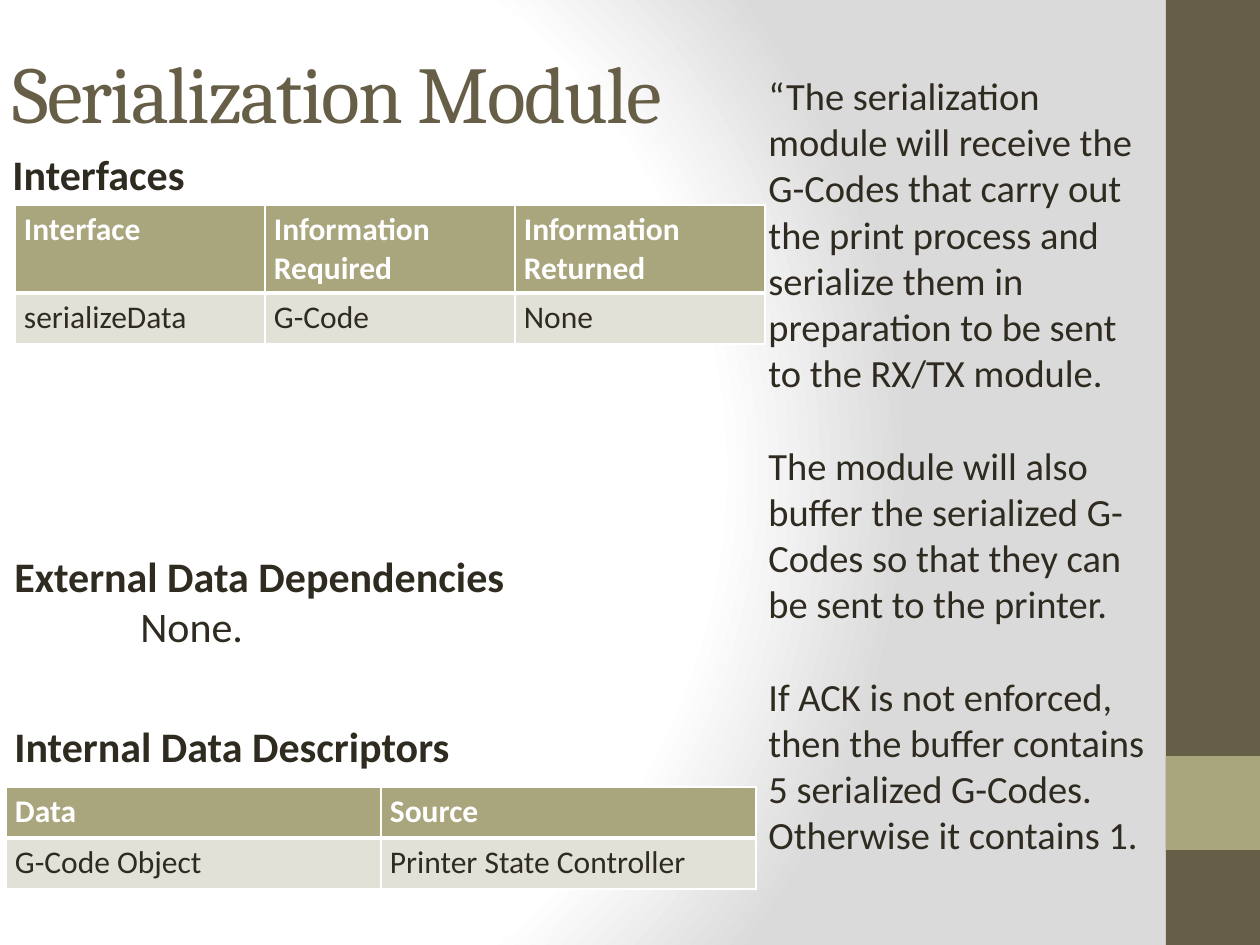
from pptx import Presentation
from pptx.dml.color import RGBColor
from pptx.enum.shapes import MSO_SHAPE
from pptx.enum.text import MSO_ANCHOR, MSO_AUTO_SIZE
from pptx.oxml import parse_xml
from pptx.oxml.ns import nsdecls, qn
from pptx.util import Pt

RECT = MSO_SHAPE.RECTANGLE
TOP, MIDDLE = MSO_ANCHOR.TOP, MSO_ANCHOR.MIDDLE
FIT = MSO_AUTO_SIZE.SHAPE_TO_FIT_TEXT
SCALE = 914400 / 126
COLORS = {
    "brown": "675E47", "olive": "A9A57C", "pale": "E2E1D7",
    "ink": "2F2B20", "white": "FFFFFF", "gray": "DADADA",
}
HEADING, BODY = "Cambria", "Calibri"


def px(n):
    return round(n * SCALE)


def rgb(name):
    return RGBColor.from_string(COLORS[name])


class Deck:
    def __init__(self, w, h):
        self.prs = Presentation()
        self.prs.slide_width, self.prs.slide_height = px(w), px(h)
        self.s = self.prs.slides.add_slide(self.prs.slide_layouts[6])

    def background(self, stops):
        self.s.background.fill.gradient()
        old = self.s.element.find(".//" + qn("a:gradFill"))
        gs = "".join(
            f'<a:gs pos="{pos * 1000}"><a:srgbClr val="{COLORS[c]}"/></a:gs>'
            for pos, c in stops)
        old.getparent().replace(old, parse_xml(
            f'<a:gradFill {nsdecls("a")} rotWithShape="1"><a:gsLst>{gs}</a:gsLst>'
            '<a:path path="circle"><a:fillToRect l="20000" t="50000" '
            'r="100000" b="50000"/></a:path></a:gradFill>'))

    def rect(self, x, y, w, h, color):
        sp = self.s.shapes.add_shape(RECT, px(x), px(y), px(w), px(h))
        sp.shadow.inherit = False
        sp.fill.solid()
        sp.fill.fore_color.rgb = rgb(color)
        sp.line.fill.background()

    def run(self, p, text, size, color="ink", bold=False, font=BODY):
        r = p.add_run()
        r.text = text
        r.font.size, r.font.bold, r.font.name = Pt(size), bold, font
        r.font.color.rgb = rgb(color)
        return r

    def box(self, x, y, w, h, anchor=TOP):
        tf = self.s.shapes.add_textbox(px(x), px(y), px(w), px(h)).text_frame
        tf.word_wrap = True
        tf.vertical_anchor = anchor
        return tf

    def title(self, x, y, w, h, text):
        tf = self.box(x, y, w, h, MIDDLE)
        r = self.run(tf.paragraphs[0], text, 46, "brown", font=HEADING)
        r.font._element.set("spc", "-100")

    def section(self, x, y, w, h, heading, detail=None):
        tf = self.box(x, y, w, h)
        tf.auto_size = FIT
        self.run(tf.paragraphs[0], heading, 24, bold=True)
        if detail:
            p = tf.add_paragraph()
            p._p.get_or_add_pPr().set("marL", str(px(126)))
            self.run(p, detail, 24)

    def prose(self, x, y, w, h, paragraphs, size, gap):
        tf = self.box(x, y, w, h)
        tf.auto_size = FIT
        for i, text in enumerate(paragraphs):
            p = tf.add_paragraph() if i else tf.paragraphs[0]
            if i:
                p.space_before = Pt(gap)
            self.run(p, text, size)

    def borders(self, cell, header):
        widths = {"L": 1, "R": 1, "T": 1 if header else 3, "B": 3 if header else 1}
        tcPr = cell._tc.get_or_add_tcPr()
        for i, (side, width) in enumerate(widths.items()):
            tcPr.insert(i, parse_xml(
                f'<a:ln{side} {nsdecls("a")} w="{Pt(width)}"><a:solidFill>'
                f'<a:srgbClr val="{COLORS["white"]}"/></a:solidFill></a:ln{side}>'))

    def table(self, x, y, w, heights, rows):
        cols = len(rows[0])
        tbl = self.s.shapes.add_table(
            len(rows), cols, px(x), px(y), px(w), px(sum(heights))).table
        for col in tbl.columns:
            col.width = px(w / cols)
        for i, (height, texts) in enumerate(zip(heights, rows)):
            header = i == 0
            tbl.rows[i].height = px(height)
            for j, text in enumerate(texts):
                cell = tbl.cell(i, j)
                cell.margin_left = cell.margin_right = px(9)
                cell.margin_top = cell.margin_bottom = px(6)
                cell.fill.solid()
                cell.fill.fore_color.rgb = rgb("olive" if header else "pale")
                self.borders(cell, header)
                self.run(cell.text_frame.paragraphs[0], text, 18,
                         "white" if header else "ink", header)


def main():
    d = Deck(1260, 945)
    d.background([(0, "white"), (75, "white"), (100, "gray")])
    d.rect(1166, 0, 94, 945, "brown")
    d.rect(1166, 756, 94, 94, "olive")
    d.title(0, 0, 1086, 183, "Serialization Module")
    d.section(0, 142, 344, 63, "Interfaces")
    d.table(15, 205, 750, [88, 51], [
        ["Interface", "Information Required", "Information Returned"],
        ["serializeData", "G-Code", "None"],
    ])
    d.section(2, 544, 577, 115, "External Data Dependencies", "None.")
    d.section(2, 714, 536, 63, "Internal Data Descriptors")
    d.table(6, 787, 750, [51, 51], [
        ["Data", "Source"],
        ["G-Code Object", "Printer State Controller"],
    ])
    d.prose(756, 66, 410, 806, [
        "“The serialization module will receive the G-Codes that carry out the "
        "print process and serialize them in preparation to be sent to the "
        "RX/TX module.",
        "The module will also buffer the serialized G-Codes so that they can be "
        "sent to the printer.",
        "If ACK is not enforced, then the buffer contains 5 serialized G-Codes. "
        "Otherwise it contains 1.",
    ], size=22, gap=26.5)
    d.prs.save("out.pptx")


if __name__ == "__main__":
    main()
